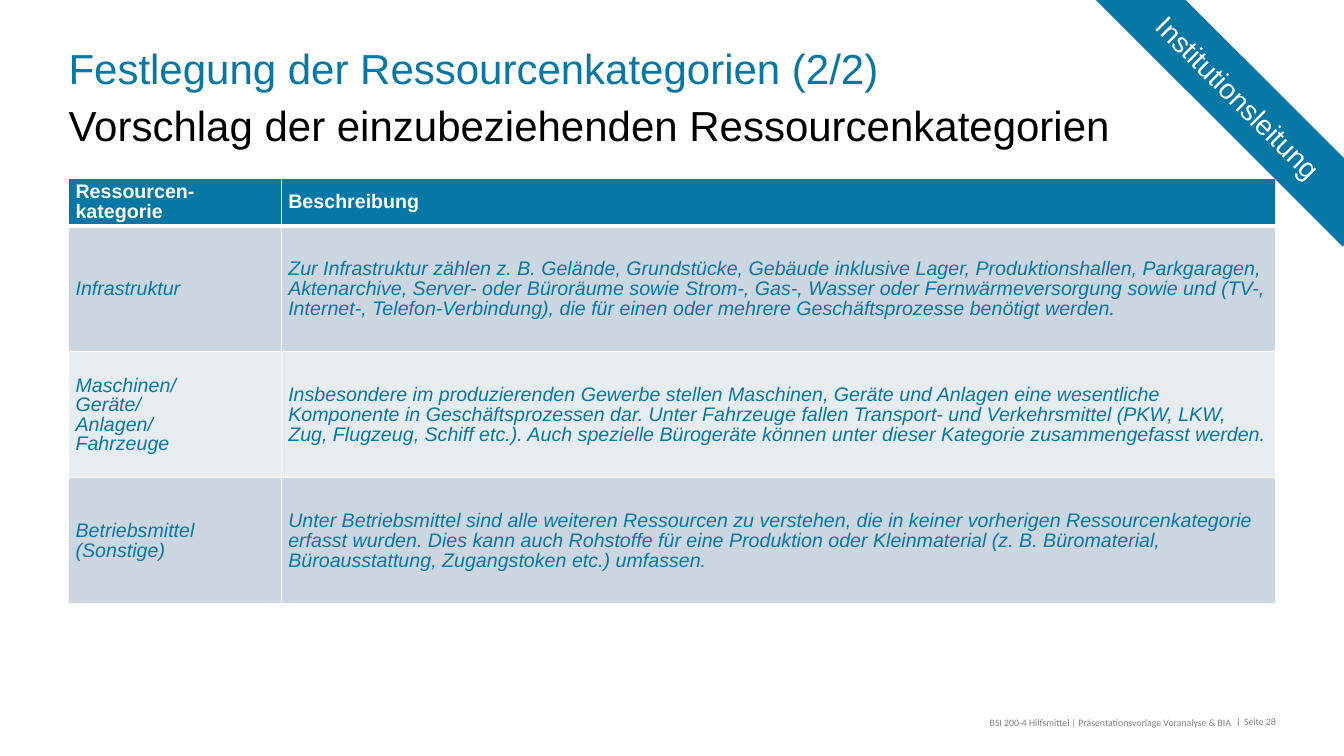
from pptx import Presentation
from pptx.dml.color import RGBColor
from pptx.enum.shapes import MSO_SHAPE as Shape
from pptx.enum.text import MSO_ANCHOR as Anchor, PP_ALIGN as Align
from pptx.oxml import parse_xml
from pptx.oxml.ns import nsdecls
from pptx.util import Inches, Pt

deck = Presentation()
deck.slide_width, deck.slide_height = Inches(13.33), Inches(7.5)
slide = deck.slides.add_slide(deck.slide_layouts[6])
col, row = deck.slide_width / 100, deck.slide_height / 100
hue = RGBColor.from_string
blue, white, grey = "0778A5", "FFFFFF", "808080"


def place(x, y, w, h):
    return int(x * col), int(y * row), int(w * col), int(h * row)


def style(part, size, tone, face="Arial"):
    part.font.size, part.font.name = Pt(size), face
    part.font.color.rgb = hue(tone)


lines = [
    ("Festlegung der Ressourcenkategorien (2/2)", (5.1, 5.87, 79.14, 7.33),
     30, blue, "Arial", Align.LEFT, 35),
    ("Vorschlag der einzubeziehenden Ressourcenkategorien", (5.1, 13.2, 79.14, 6.27),
     30, "000000", "Arial", Align.LEFT, None),
    ("BSI 200-4 Hilfsmittel | Präsentationsvorlage Voranalyse & BIA",
     (57.76, 94.8, 33.83, 1.07), 7, grey, "Calibri", Align.RIGHT, None),
]
for text, spot, size, tone, face, side, lead in lines:
    frame = slide.shapes.add_textbox(*place(*spot)).text_frame
    frame.word_wrap = True
    frame.margin_left = frame.margin_right = frame.margin_top = frame.margin_bottom = 0
    para = frame.paragraphs[0]
    para.text, para.alignment = text, side
    if lead:
        para.line_spacing = Pt(lead)
    style(para, size, tone, face)

frame = slide.shapes.add_textbox(*place(91.97, 93.07, 3.83, 3.2)).text_frame
frame.word_wrap, frame.vertical_anchor = True, Anchor.BOTTOM
frame.margin_left = frame.margin_right = frame.margin_top = frame.margin_bottom = 0
para = frame.paragraphs[0]
para._p.get_or_add_pPr().append(parse_xml(
    f'<a:tabLst {nsdecls("a")}><a:tab pos="{Inches(0.08)}" algn="l"/></a:tabLst>'))
for text, tone in (("|\t", "6B7581"), ("Seite 28", grey)):
    run = para.add_run()
    run.text = text
    style(run, 7, tone, "Calibri")

cells = [
    ("Ressourcen-kategorie", "Beschreibung"),
    ("Infrastruktur",
     "Zur Infrastruktur zählen z. B. Gelände, Grundstücke, Gebäude inklusive Lager, "
     "Produktionshallen, Parkgaragen, Aktenarchive, Server- oder Büroräume sowie Strom-, "
     "Gas-, Wasser oder Fernwärmeversorgung sowie und (TV-, Internet-, Telefon-Verbindung), "
     "die für einen oder mehrere Geschäftsprozesse benötigt werden."),
    ("Maschinen/\nGeräte/\nAnlagen/\nFahrzeuge",
     "Insbesondere im produzierenden Gewerbe stellen Maschinen, Geräte und Anlagen eine "
     "wesentliche Komponente in Geschäftsprozessen dar. Unter Fahrzeuge fallen Transport- "
     "und Verkehrsmittel (PKW, LKW, Zug, Flugzeug, Schiff etc.). Auch spezielle Bürogeräte "
     "können unter dieser Kategorie zusammengefasst werden."),
    ("Betriebsmittel (Sonstige)",
     "Unter Betriebsmittel sind alle weiteren Ressourcen zu verstehen, die in keiner "
     "vorherigen Ressourcenkategorie erfasst wurden. Dies kann auch Rohstoffe für eine "
     "Produktion oder Kleinmaterial (z. B. Büromaterial, Büroausstattung, Zugangstoken "
     "etc.) umfassen."),
]
table = slide.shapes.add_table(4, 2, *place(5.1, 23.6, 89.8, 56.28)).table
for c, share in enumerate((15.83, 73.97)):
    table.columns[c].width = int(share * col)
for r, pair in enumerate(cells):
    head = r == 0
    table.rows[r].height = int((6.27 if head else 16.67) * row)
    for c, text in enumerate(pair):
        cell = table.cell(r, c)
        cell.vertical_anchor = Anchor.MIDDLE
        cell.margin_left = cell.margin_right = Inches(0.07)
        cell.margin_top, cell.margin_bottom = Inches(0.02), 0
        for edge in "LRTB":
            thick = (edge, r) in (("B", 0), ("T", 1))
            cell._tc.get_or_add_tcPr().append(parse_xml(
                f'<a:ln{edge} {nsdecls("a")} w="{Pt(3 if thick else 1)}"><a:solidFill>'
                f'<a:srgbClr val="{white}"/></a:solidFill></a:ln{edge}>'))
        cell.fill.solid()
        cell.fill.fore_color.rgb = hue(blue if head else ("E7ECF0", "CCD6E1")[r % 2])
        para = cell.text_frame.paragraphs[0]
        para.text = text
        para.line_spacing, para.space_after = Pt(14), Pt(6)
        style(para, 14, white if head else blue)
        para.font.bold, para.font.italic = head, not head

band = slide.shapes.add_shape(Shape.RECTANGLE, *place(78.77, 8.67, 26.71, 8.4))
band.rotation = 45
band.shadow.inherit = False
band.fill.solid()
band.fill.fore_color.rgb = hue(blue)
band.line.fill.background()
frame = band.text_frame
frame.word_wrap, frame.vertical_anchor = True, Anchor.MIDDLE
frame.margin_left = frame.margin_right = frame.margin_top = frame.margin_bottom = Inches(0.08)
para = frame.paragraphs[0]
para.text, para.alignment = "Institutionsleitung", Align.CENTER
style(para, 20, white)

deck.save("out.pptx")
